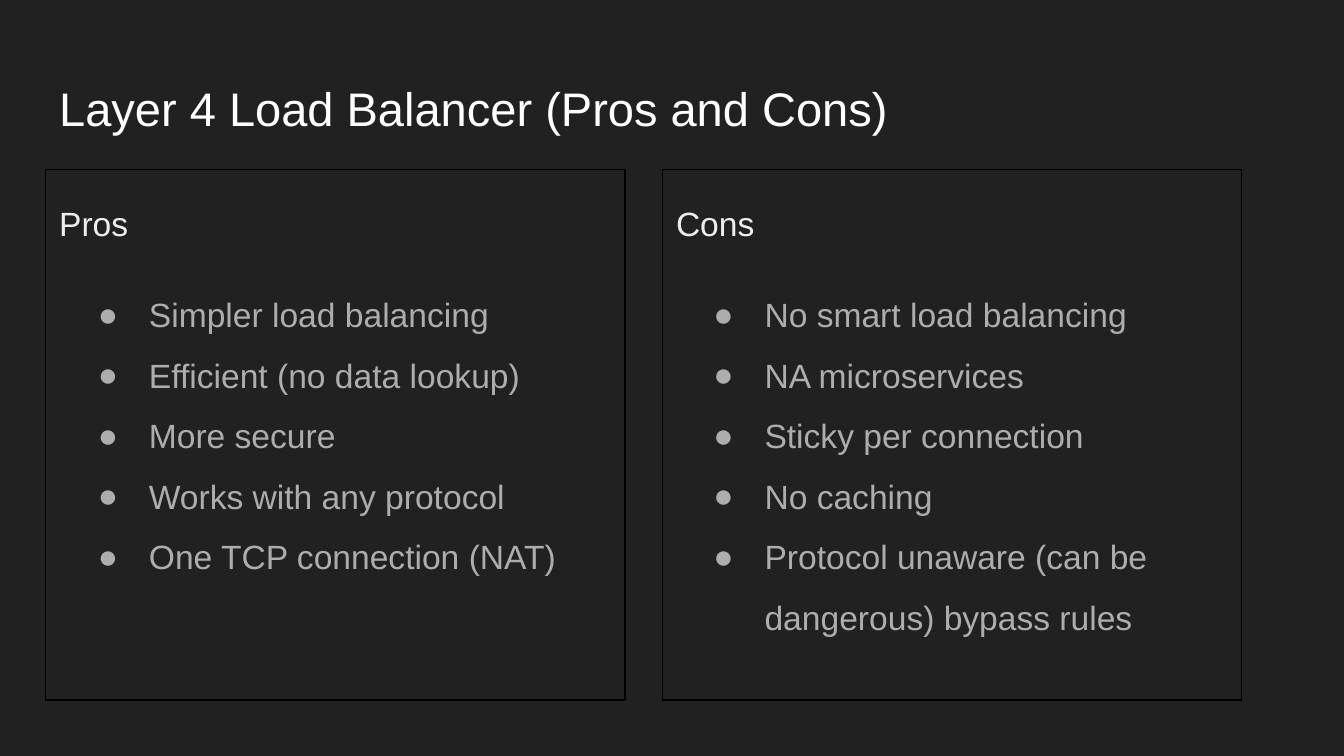
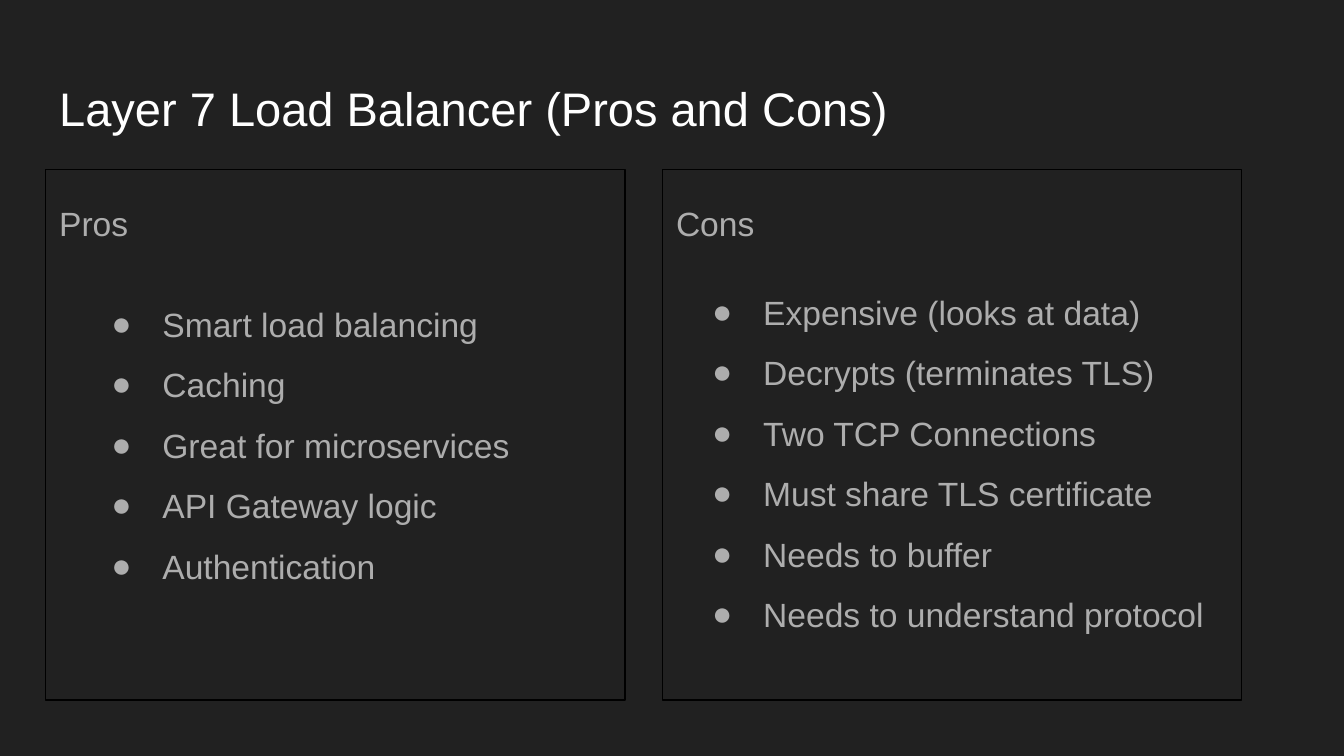
from lxml import etree
from pptx import Presentation
from pptx import util as u
from pptx.dml.color import RGBColor
from pptx.enum import text
from pptx.oxml import ns

COLORS = {"back": "212121", "title": "FFFFFF", "bright": "EEEEEE", "muted": "ADADAD", "line": "000000"}
FONT = "Arial"
SLIDE_W = u.Inches(10)
SLIDE_H = SLIDE_W * 9 // 16
MARGIN, PITCH = 0.34, 4.59
PANEL_TOP, PANEL_W, PANEL_H = 1.26, 4.31, 3.95

SLIDES = [
    ("Layer 4 Load Balancer (Pros and Cons)", "bright", [
        ("Pros", (0.17, 0.68, 3.91, 2.97), [
            "Simpler load balancing", "Efficient (no data lookup)", "More secure",
            "Works with any protocol", "One TCP connection (NAT)"]),
        ("Cons", (0.16, 0.68, 3.91, 3.07), [
            "No smart load balancing", "NA microservices", "Sticky per connection",
            "No caching", "Protocol unaware (can be dangerous) bypass rules"]),
    ]),
    ("Layer 7 Load Balancer (Pros and Cons)", "muted", [
        ("Pros", (0.27, 0.75, 3.91, 2.54), [
            "Smart load balancing", "Caching", "Great for microservices",
            "API Gateway logic", "Authentication"]),
        ("Cons", (0.15, 0.66, 4.01, 3.07), [
            "Expensive (looks at data)", "Decrypts (terminates TLS)", "Two TCP Connections",
            "Must share TLS certificate", "Needs to buffer", "Needs to understand protocol"]),
    ]),
]


def rgb(name):
    return RGBColor.from_string(COLORS[name])


def place(sp, *box):
    sp.left, sp.top, sp.width, sp.height = (u.Inches(v) for v in box)


def set_bullet(p, color):
    pPr = p._p.get_or_add_pPr()
    pPr.set("marL", str(u.Inches(0.5)))
    pPr.set("indent", str(-u.Inches(0.38)))
    clr = etree.SubElement(pPr, ns.qn("a:buClr"))
    etree.SubElement(clr, ns.qn("a:srgbClr"), val=COLORS[color])
    etree.SubElement(pPr, ns.qn("a:buFont"), typeface=FONT)
    etree.SubElement(pPr, ns.qn("a:buChar"), char="●")


def set_plain(p):
    pPr = p._p.get_or_add_pPr()
    pPr.set("marL", "0")
    pPr.set("indent", "0")
    etree.SubElement(pPr, ns.qn("a:buNone"))


def write(sp, lines, size=18, color="muted", spacing=1.5, before=12, after=0, bullet=False):
    tf = sp.text_frame
    tf.word_wrap = True
    tf.auto_size = text.MSO_AUTO_SIZE.NONE
    tf.vertical_anchor = text.MSO_ANCHOR.TOP
    tf.margin_left = tf.margin_right = tf.margin_top = tf.margin_bottom = u.Inches(0.1)
    for i, line in enumerate(lines):
        p = tf.add_paragraph() if i else tf.paragraphs[0]
        p.alignment = text.PP_ALIGN.LEFT
        p.line_spacing = spacing
        p.space_before = u.Pt(0 if i else before)
        p.space_after = u.Pt(after)
        if bullet:
            set_bullet(p, color)
        else:
            set_plain(p)
        r = p.add_run()
        r.text = line
        r.font.name, r.font.size = FONT, u.Pt(size)
        r.font.color.rgb = rgb(color)


def add_title(s, title):
    sp = s.shapes.title
    place(sp, MARGIN, 0.49, 9.32, 0.63)
    write(sp, [title], size=25.2, color="title", spacing=1.0, before=0)


def add_panel(s, col, heading, color, list_box, items):
    left = MARGIN + col * PITCH
    sp = s.placeholders[col + 1]
    place(sp, left, PANEL_TOP, PANEL_W, PANEL_H)
    sp.line.color.rgb = rgb("line")
    sp.line.width = u.Pt(0.75)
    write(sp, [heading], color=color, after=12)

    dx, dy, width, height = list_box
    box = s.shapes.add_textbox(0, 0, 0, 0)
    place(box, left + dx, PANEL_TOP + dy, width, height)
    write(box, items, bullet=True)


def main():
    prs = Presentation()
    prs.slide_width, prs.slide_height = SLIDE_W, SLIDE_H
    fill = prs.slide_master.background.fill
    fill.solid()
    fill.fore_color.rgb = rgb("back")
    layout = prs.slide_layouts.get_by_name("Two Content")
    for title, heading_color, panels in SLIDES:
        s = prs.slides.add_slide(layout)
        add_title(s, title)
        for col, (heading, list_box, items) in enumerate(panels):
            add_panel(s, col, heading, heading_color, list_box, items)
    prs.save("out.pptx")


if __name__ == "__main__":
    main()
